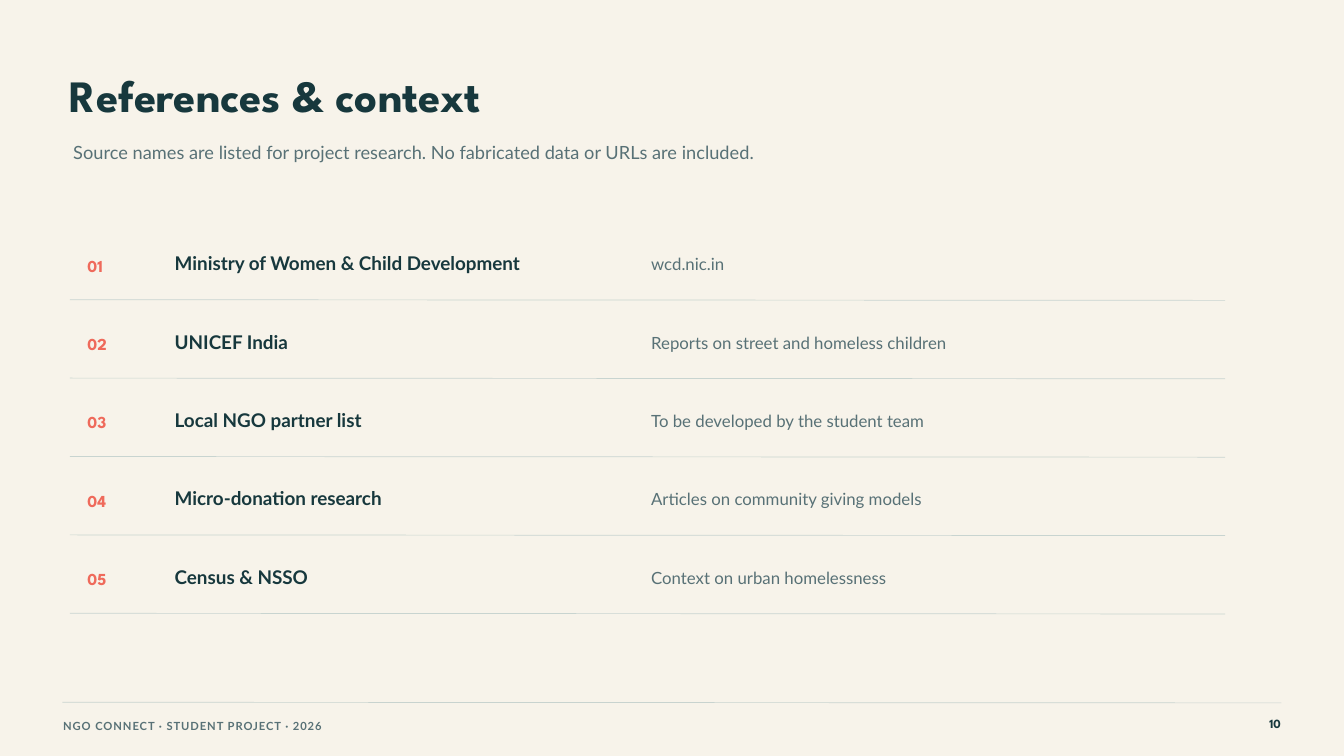
"""Build the references slide with its numbered source list."""
import pptx
import pptx.dml.color
import pptx.enum.shapes
import pptx.enum.text
import pptx.oxml
import pptx.oxml.ns
import pptx.util

HUES = {
    "paper": "F7F3EA",
    "ink": "17383D",
    "muted": "587176",
    "coral": "EF6A5B",
    "rule": "C8D4D0",
    "foot": "C8D3CF",
}
HEAD = "League Spartan"
BODY = "Lato"

TITLE = "References & context"
NOTE = "Source names are listed for project research. No fabricated data or URLs are included."
ROWS = [
    ("Ministry of Women & Child Development", "wcd.nic.in"),
    ("UNICEF India", "Reports on street and homeless children"),
    ("Local NGO partner list", "To be developed by the student team"),
    ("Micro-donation research", "Articles on community giving models"),
    ("Census & NSSO", "Context on urban homelessness"),
]
FOOTER = "NGO CONNECT · STUDENT PROJECT · 2026"
PAGE = "10"

TOP = 3.69
PITCH = 3.5 / 3

Inches = pptx.util.Inches
Pt = pptx.util.Pt


def hue(name):
    return pptx.dml.color.RGBColor.from_string(HUES[name])


def write(slide, text, box, *, size, lead, font=BODY, tint="ink",
          bold=False, right=False, space=0):
    shape = slide.shapes.add_textbox(*map(Inches, box))
    frame = shape.text_frame
    frame.word_wrap = True
    frame.margin_left = frame.margin_right = 0
    frame.margin_top = frame.margin_bottom = 0
    line = frame.paragraphs[0]
    line.line_spacing = Pt(lead)
    if right:
        line.alignment = pptx.enum.text.PP_ALIGN.RIGHT
    run = line.add_run()
    run.text = text
    run.font.name = font
    run.font.size = Pt(size)
    run.font.bold = bold
    run.font.color.rgb = hue(tint)
    if space:
        run.font._element.set("spc", str(space * 100))


def rule(slide, left, right, top, drop, tint):
    line = slide.shapes.add_connector(
        pptx.enum.shapes.MSO_CONNECTOR.STRAIGHT,
        Inches(left), Inches(top), Inches(right), Inches(top + drop))
    line.line.color.rgb = hue(tint)
    line.line.width = Pt(0.75)
    line._element.spPr.append(pptx.oxml.parse_xml(
        "<a:effectLst %s/>" % pptx.oxml.ns.nsdecls("a")))


def main():
    deck = pptx.Presentation()
    deck.slide_width = Inches(20)
    deck.slide_height = Inches(11.25)
    slide = deck.slides.add_slide(deck.slide_layouts[6])
    slide.background.fill.solid()
    slide.background.fill.fore_color.rgb = hue("paper")

    write(slide, TITLE, (1.04, 1.12, 12.5, 0.61), size=48, lead=49,
          font=HEAD, bold=True)
    write(slide, NOTE, (1.09, 2.05, 11.67, 0.4), size=19.5, lead=27.3,
          tint="muted")

    for i, (name, detail) in enumerate(ROWS):
        top = TOP + i * PITCH
        write(slide, f"{i + 1:02}", (1.3, top + 0.06, 0.73, 0.35), size=18,
              lead=25.2, font=HEAD, tint="coral", bold=True)
        write(slide, name, (2.6, top, 6.35, 0.4), size=20.2, lead=28.4,
              bold=True)
        write(slide, detail, (9.69, top + 0.04, 7.5, 0.37), size=18,
              lead=25.2, tint="muted")
        rule(slide, 1.04, 18.23, top + 0.77, 0.01, "rule")

    rule(slide, 0.93, 19.07, 10.45, 0.01, "foot")
    write(slide, FOOTER, (0.94, 10.67, 6.46, 0.24), size=12, lead=16.8,
          tint="muted", bold=True, space=1)
    write(slide, PAGE, (18.85, 10.62, 0.21, 0.24), size=13.5, lead=18.9,
          font=HEAD, bold=True, right=True)
    deck.save("out.pptx")


if __name__ == "__main__":
    main()
